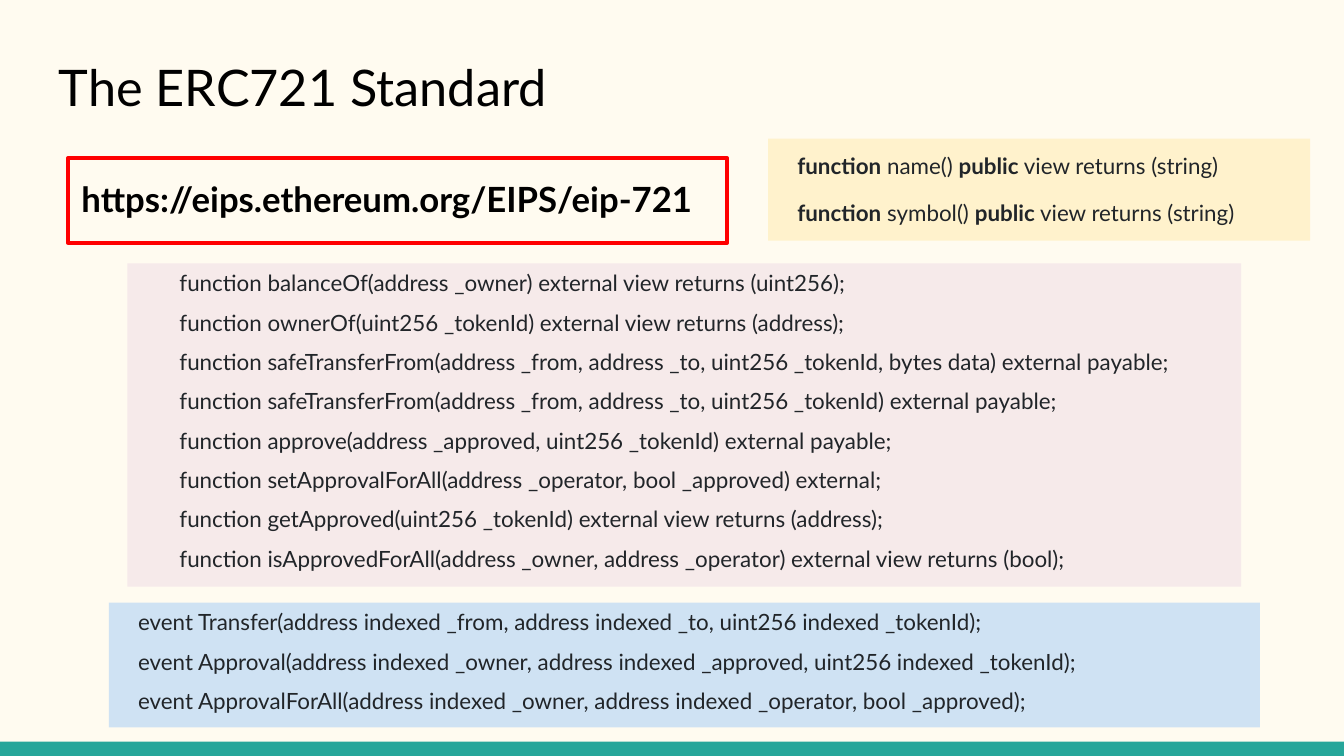
import pptx
import pptx.util
import pptx.dml.color
import pptx.enum.shapes
import pptx.enum.text
import pptx.oxml.ns
import lxml.etree

Cm, Pt = pptx.util.Cm, pptx.util.Pt

# Content: each line is a list of (text, bold) runs
TITLE = "The ERC721 Standard"
LINK = "https://eips.ethereum.org/EIPS/eip-721"
METADATA = [
    [("function", True), (f" {name}() ", False), ("public", True),
     (" view returns (string)", False)]
    for name in ("name", "symbol")
]
FUNCTIONS = [
    "balanceOf(address _owner) external view returns (uint256);",
    "ownerOf(uint256 _tokenId) external view returns (address);",
    "safeTransferFrom(address _from, address _to, uint256 _tokenId, bytes data) external payable;",
    "safeTransferFrom(address _from, address _to, uint256 _tokenId) external payable;",
    "approve(address _approved, uint256 _tokenId) external payable;",
    "setApprovalForAll(address _operator, bool _approved) external;",
    "getApproved(uint256 _tokenId) external view returns (address);",
    "isApprovedForAll(address _owner, address _operator) external view returns (bool);",
]
EVENTS = [
    "Transfer(address indexed _from, address indexed _to, uint256 indexed _tokenId);",
    "Approval(address indexed _owner, address indexed _approved, uint256 indexed _tokenId);",
    "ApprovalForAll(address indexed _owner, address indexed _operator, bool _approved);",
]
COLORS = {
    "background": "FFFBF0", "bar": "26A69A", "title": "000000", "code": "212529",
    "frame": "FF0000", "events": "CFE2F3", "metadata": "FFF2CC", "functions": "F6EAEA",
}

# Code panels: colour name, (left, top, width, height) in cm, lines, line spacing
PANELS = [
    ("events", (2.06, 11.39, 21.75, 2.36),
     [[(f"event {e}", False)] for e in EVENTS], 0.7),
    ("metadata", (14.52, 2.62, 10.24, 1.93), METADATA, 1.0),
    ("functions", (2.41, 4.98, 21.05, 6.11),
     [[(f"    function {f}", False)] for f in FUNCTIONS], 0.7),
]


def rgb(name):
    return pptx.dml.color.RGBColor.from_string(COLORS[name])


def place(sp, box):
    sp.left, sp.top, sp.width, sp.height = [Cm(v) for v in box]


def add_rect(s, box, color):
    sp = s.shapes.add_shape(pptx.enum.shapes.MSO_SHAPE.RECTANGLE, *[Cm(v) for v in box])
    sp.shadow.inherit = False
    sp.fill.solid()
    sp.fill.fore_color.rgb = rgb(color)
    sp.line.fill.background()
    return sp


def write(sp, lines, size=12, color="code", spacing=1.0, gap=0, after=0, indent=0):
    """Fill a shape with lines of (text, bold) runs."""
    tf = sp.text_frame
    tf.word_wrap = True
    tf.auto_size = pptx.enum.text.MSO_AUTO_SIZE.NONE
    tf.vertical_anchor = pptx.enum.text.MSO_ANCHOR.TOP
    tf.margin_left = tf.margin_right = tf.margin_top = tf.margin_bottom = Cm(0.25)
    for i, runs in enumerate(lines):
        p = tf.paragraphs[0] if i == 0 else tf.add_paragraph()
        p.alignment = pptx.enum.text.PP_ALIGN.LEFT
        p.line_spacing = spacing
        p.space_before = Pt(gap if i else 0)
        p.space_after = Pt(after if i == len(lines) - 1 else 0)
        pPr = p._p.get_or_add_pPr()
        pPr.set("marL", str(Cm(indent)))
        pPr.set("indent", "0")
        lxml.etree.SubElement(pPr, pptx.oxml.ns.qn("a:buNone"))
        for text, bold in runs:
            r = p.add_run()
            r.text = text
            r.font.name = "Lato"
            r.font.size = Pt(size)
            r.font.bold = bold
            r.font.color.rgb = rgb(color)


prs = pptx.Presentation()
prs.slide_width, prs.slide_height = Cm(25.4), Cm(14.29)
s = prs.slides.add_slide(prs.slide_layouts[1])
s.background.fill.solid()
s.background.fill.fore_color.rgb = rgb("background")

# Bottom bar
add_rect(s, (0, 14.02, 25.4, 0.27), "bar")

# Title
title = s.shapes.title
place(title, (0.86, 0.81, 23.67, 1.6))
write(title, [[(TITLE, False)]], size=27, color="title")

# Framed link
body = s.placeholders[1]
place(body, (1.29, 2.99, 12.45, 1.6))
body.line.color.rgb = rgb("frame")
body.line.width = Pt(2.25)
write(body, [[(LINK, True)]], size=18.6, color="title", spacing=1.15, after=12)

# Code panels
for color, box, lines, spacing in PANELS:
    sp = add_rect(s, box, color)
    write(sp, lines, spacing=spacing, gap=11, after=11, indent=0.3)

prs.save("out.pptx")
